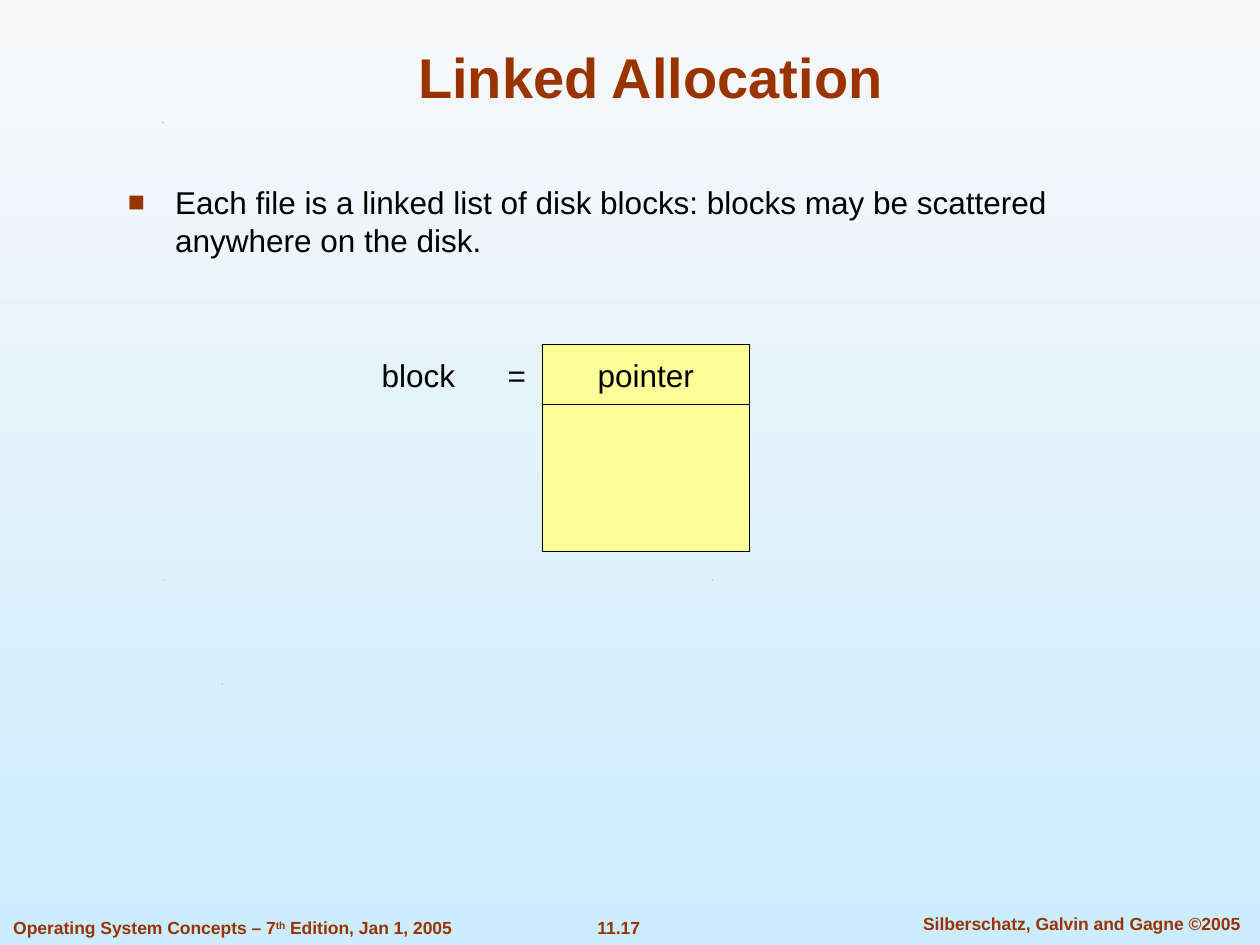
import dataclasses

import lxml.etree
import pptx
import pptx.dml.color
import pptx.enum.shapes
import pptx.enum.text
import pptx.oxml.ns
import pptx.util

Pt = pptx.util.Pt
Rgb = pptx.dml.color.RGBColor.from_string
Align = pptx.enum.text.PP_ALIGN
Anchor = pptx.enum.text.MSO_ANCHOR


@dataclasses.dataclass(frozen=True)
class Theme:
    face: str = "Arial"
    rust: str = "993300"
    ink: str = "000000"
    cell: str = "FFFF99"
    sky: tuple = ("F8F8F8", "CCECFF")
    head: float = 32
    body: float = 18
    foot: float = 10


THEME = Theme()
TITLE = {"size": Pt(THEME.head), "bold": True, "color": THEME.rust}
BODY = {"size": Pt(THEME.body), "color": THEME.ink}
FOOT = {"size": Pt(THEME.foot), "bold": True, "color": THEME.rust}


def set_all(item, values):
    for name, value in values.items():
        setattr(item, name, value)


def add_tag(parent, tag, **attrs):
    return lxml.etree.SubElement(parent, pptx.oxml.ns.qn(tag), attrs)


def add_run(para, text, style, raised=False):
    run = para.add_run()
    run.text = text
    run.font.name = THEME.face
    run.font.color.rgb = Rgb(style["color"])
    set_all(run.font, {k: v for k, v in style.items() if k != "color"})
    if raised:
        run.font._element.set("baseline", "30000")


def add_text(slide, box, text, style, align=Align.LEFT, anchor=Anchor.TOP):
    """Add a text box and return its paragraph."""
    frame = slide.shapes.add_textbox(*map(Pt, box)).text_frame
    set_all(frame, {"word_wrap": True, "vertical_anchor": anchor})
    para = frame.paragraphs[0]
    para.alignment = align
    if text:
        add_run(para, text, style)
    return para


def add_mark(para, indent):
    """Give a paragraph a square bullet with a hanging indent."""
    props = para._p.get_or_add_pPr()
    props.set("marL", str(Pt(indent)))
    props.set("indent", str(-Pt(indent)))
    add_tag(add_tag(props, "a:buClr"), "a:srgbClr", val=THEME.rust)
    add_tag(props, "a:buSzPct", val="90000")
    add_tag(props, "a:buFont", typeface=THEME.face)
    add_tag(props, "a:buChar", char="■")


def add_stop(para, pos):
    tabs = add_tag(para._p.get_or_add_pPr(), "a:tabLst")
    add_tag(tabs, "a:tab", pos=str(Pt(pos)), algn="l")


def add_cell(slide, box, text=""):
    kind = pptx.enum.shapes.MSO_SHAPE.RECTANGLE
    cell = slide.shapes.add_shape(kind, *map(Pt, box))
    cell.shadow.inherit = False
    cell.fill.solid()
    cell.fill.fore_color.rgb = Rgb(THEME.cell)
    cell.line.color.rgb = Rgb(THEME.ink)
    cell.line.width = Pt(0.75)
    if text:
        cell.text_frame.vertical_anchor = Anchor.MIDDLE
        para = cell.text_frame.paragraphs[0]
        para.alignment = Align.CENTER
        add_run(para, text, BODY)


def add_speck(slide, left, top):
    """Add a tiny dark triangle."""
    build = slide.shapes.build_freeform(Pt(left), Pt(top + 0.4))
    ends = [(left + 0.6, top), (left + 0.3, top + 0.4)]
    build.add_line_segments([(Pt(x), Pt(y)) for x, y in ends])
    speck = build.convert_to_shape()
    speck.shadow.inherit = False
    speck.fill.solid()
    speck.fill.fore_color.rgb = Rgb(THEME.ink)
    speck.line.fill.background()


def paint_sky(slide):
    fill = slide.background.fill
    fill.gradient()
    fill.gradient_angle = 270
    for stop, color in zip(fill.gradient_stops, THEME.sky):
        stop.color.rgb = Rgb(color)


def main():
    deck = pptx.Presentation()
    set_all(deck, {"slide_width": Pt(720), "slide_height": Pt(540)})
    slide = deck.slides.add_slide(deck.slide_layouts[6])
    paint_sky(slide)

    # Specks
    for spot in [(126.7, 390.6), (93.6, 331.2), (406.8, 331.2), (92.9, 69.8)]:
        add_speck(slide, *spot)

    # Footer
    add_text(slide, (315.4, 520.6, 76.3, 19.4), "11.17", FOOT, Align.CENTER)
    add_text(slide, (511.2, 518.4, 213.8, 19.4),
             "Silberschatz, Galvin and Gagne ©2005", FOOT, Align.CENTER)
    book = add_text(slide, (0.5, 520.6, 280, 19.4), "", FOOT)
    add_run(book, "Operating System Concepts – 7", FOOT)
    add_run(book, "th", FOOT, raised=True)
    add_run(book, " Edition, Jan 1, 2005", FOOT)

    # Title and bullet
    add_text(slide, (54, 18, 635.8, 48.2), "Linked Allocation", TITLE,
             Align.CENTER, Anchor.BOTTOM)
    point = add_text(slide, (66, 101, 579, 58.3),
                     "Each file is a linked list of disk blocks: blocks may "
                     "be scattered anywhere on the disk.", BODY)
    add_mark(point, 27)

    # Block diagram
    left, top, wide, high = 310, 197, 118.2, 34
    add_cell(slide, (left, top, wide, high), "pointer")
    add_cell(slide, (left, top + high, wide, 84.2))
    label = add_text(slide, (211, 199.5, 98, 29), "block\t=", BODY,
                     anchor=Anchor.MIDDLE)
    add_stop(label, 72)

    deck.save("out.pptx")


if __name__ == "__main__":
    main()
